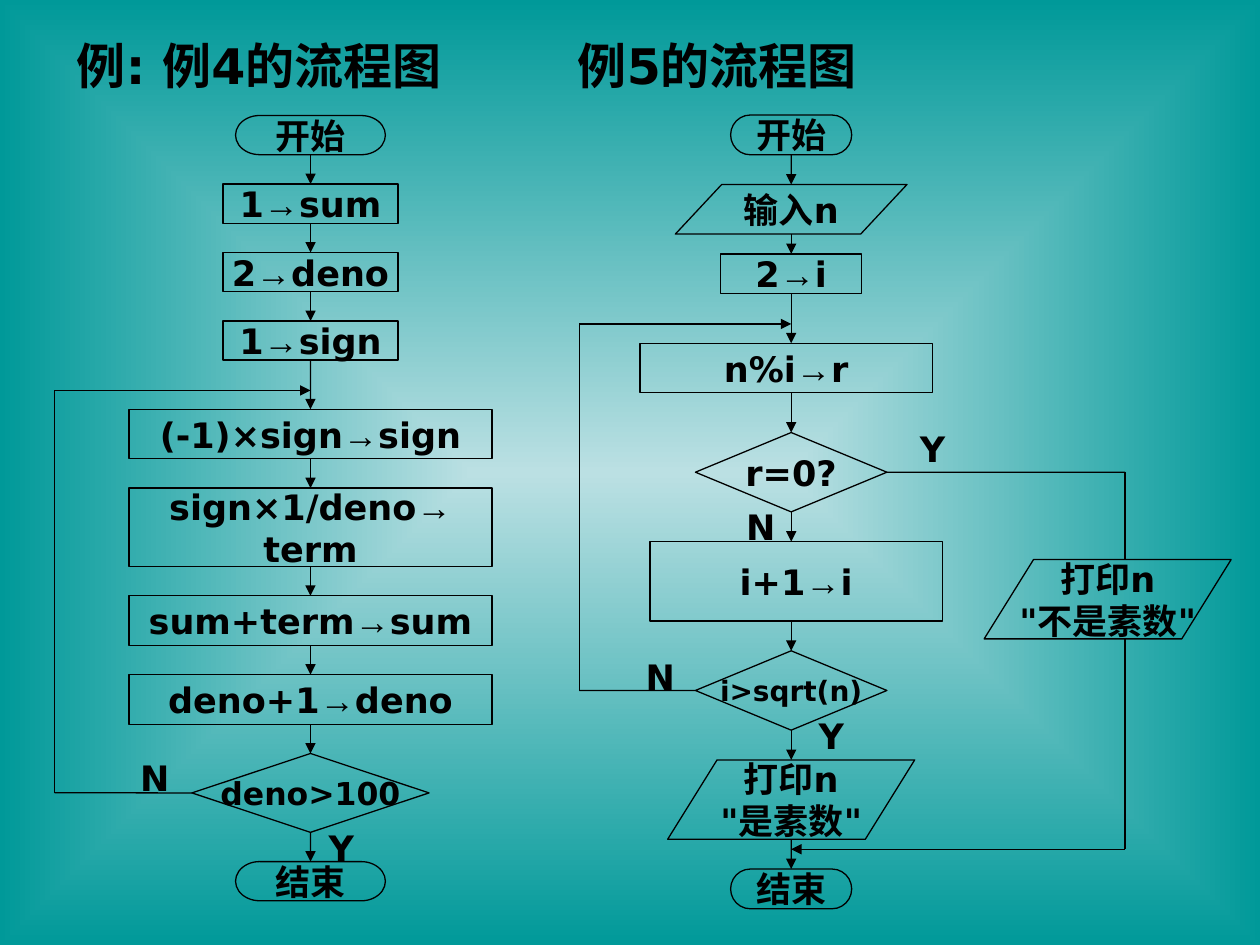
from dataclasses import dataclass

from pptx import Presentation
from pptx.dml.color import RGBColor
from pptx.enum.shapes import MSO_CONNECTOR, MSO_SHAPE
from pptx.enum.text import MSO_ANCHOR, PP_ALIGN
from pptx.oxml import parse_xml
from pptx.oxml.ns import nsdecls, qn
from pptx.oxml.xmlchemy import OxmlElement
from pptx.util import Cm, Pt

BLACK = RGBColor(0x00, 0x00, 0x00)
PALE_TEAL = RGBColor(0xBB, 0xE0, 0xE3)
DEEP_TEAL = RGBColor(0x00, 0x99, 0x99)

TERMINATOR = MSO_SHAPE.FLOWCHART_TERMINATOR
PROCESS = MSO_SHAPE.FLOWCHART_PROCESS
DECISION = MSO_SHAPE.FLOWCHART_DECISION
DATA = MSO_SHAPE.FLOWCHART_DATA
TOP, LEFT, BOTTOM, RIGHT = range(4)
LINE_WIDTH = Pt(0.75)


@dataclass
class Step:
    """One symbol of a flowchart; gap is the space below it, shift its offset from the axis."""
    kind: int
    text: str
    width: float
    height: float
    gap: float = 0.6
    shift: float = 0
    size: int = 20


SERIES_STEPS = [
    Step(TERMINATOR, "开始", 3.02, 0.79, 0.59),
    Step(PROCESS, "1→sum", 3.53, 0.79, 0.59),
    Step(PROCESS, "2→deno", 3.53, 0.79, 0.59),
    Step(PROCESS, "1→sign", 3.53, 0.79, 0.99),
    Step(PROCESS, "(-1)×sign→sign", 7.32, 1, 0.59),
    Step(PROCESS, "sign×1/deno→\nterm", 7.32, 1.58, 0.59),
    Step(PROCESS, "sum+term→sum", 7.32, 1, 0.59),
    Step(PROCESS, "deno+1→deno", 7.32, 1, 0.59),
    Step(DECISION, "deno>100", 4.78, 1.59, 0.59, size=18),
    Step(TERMINATOR, "结束", 3.02, 0.79),
]
PRIME_STEPS = [
    Step(TERMINATOR, "开始", 2.44, 0.8),
    Step(DATA, "输入n", 4.67, 1, 0.4),
    Step(PROCESS, "2→i", 2.84, 0.8, 1),
    Step(PROCESS, "n%i→r", 5.89, 1, 0.8, shift=-0.1),
    Step(DECISION, "r=0?", 3.86, 1.6),
    Step(PROCESS, "i+1→i", 5.89, 1.6, shift=0.1),
    Step(DECISION, "i>sqrt(n)", 3.86, 1.6, size=16),
    Step(DATA, '打印n\n"是素数"', 4.98, 1.6),
    Step(TERMINATOR, "结束", 2.44, 0.8),
]
BRANCH_LABELS = [
    ("Y", 6.88, 17.08), ("N", 3.12, 15.68),
    ("Y", 16.76, 14.83), ("Y", 18.8, 9.04),
    ("N", 15.34, 10.62), ("N", 13.31, 13.64),
]


def paint_background(slide):
    """Fill the background with a gradient from the centre to the edges."""
    fill = slide.background.fill
    fill.gradient()
    for stop, color in zip(fill.gradient_stops, (PALE_TEAL, DEEP_TEAL)):
        stop.color.rgb = color
    gradient = slide.element.find(".//" + qn("a:gradFill"))
    rectangular = parse_xml(
        f'<a:path {nsdecls("a")} path="rect">'
        '<a:fillToRect l="50000" t="50000" r="50000" b="50000"/></a:path>')
    gradient.replace(gradient.find(qn("a:lin")), rectangular)


def write_text(frame, text, size=20, align=PP_ALIGN.CENTER, wrap=False, tab=None):
    """Write bold lines of text, with the assignment arrows in Arial."""
    frame.word_wrap = wrap
    frame.vertical_anchor = MSO_ANCHOR.MIDDLE
    for index, line in enumerate(text.split("\n")):
        paragraph = frame.add_paragraph() if index else frame.paragraphs[0]
        paragraph.alignment = align
        if tab:
            stops = OxmlElement("a:tabLst")
            stop = OxmlElement("a:tab")
            stop.set("pos", str(tab))
            stop.set("algn", "l")
            stops.append(stop)
            paragraph._p.get_or_add_pPr().append(stops)
        for part in filter(None, line.partition("→")):
            run = paragraph.add_run()
            run.text = part
            run.font.name = "Arial" if part == "→" else "DejaVu Sans"
            run.font.size = Pt(size)
            run.font.bold = True
            run.font.color.rgb = BLACK


def add_symbol(slide, step, center, top):
    """Draw one outlined flowchart symbol centred on an axis."""
    symbol = slide.shapes.add_shape(
        step.kind, Cm(center + step.shift - step.width / 2), Cm(top),
        Cm(step.width), Cm(step.height))
    symbol.shadow.inherit = False
    symbol.fill.background()
    symbol.line.color.rgb = BLACK
    symbol.line.width = LINE_WIDTH
    write_text(symbol.text_frame, step.text, size=step.size)
    return symbol


def add_label(slide, text, center, middle, width=1.4, height=0.6):
    """Place a branch label by its centre."""
    label = slide.shapes.add_textbox(
        Cm(center - width / 2), Cm(middle - height / 2), Cm(width), Cm(height))
    write_text(label.text_frame, text)


def add_route(slide, *points, arrow=True):
    """Draw straight connectors through the points, the last one with an arrowhead."""
    legs = []
    for (x1, y1), (x2, y2) in zip(points, points[1:]):
        leg = slide.shapes.add_connector(
            MSO_CONNECTOR.STRAIGHT, Cm(x1), Cm(y1), Cm(x2), Cm(y2))
        leg.line.color.rgb = BLACK
        leg.line.width = LINE_WIDTH
        leg._element.spPr.append(OxmlElement("a:effectLst"))
        legs.append(leg)
    if arrow:
        head = OxmlElement("a:tailEnd")
        head.set("type", "triangle")
        legs[-1].line._get_or_add_ln().append(head)
    return legs


def joins_at_middle(step):
    """Tell whether the axis meets a connection site of the symbol."""
    return step.kind != DATA and not step.shift


def add_flow(slide, steps, center, top):
    """Stack the steps on an axis and link each to the next."""
    symbols = []
    previous = None
    for step in steps:
        symbol = add_symbol(slide, step, center, top)
        if previous:
            link, = add_route(slide, (center, top - previous.gap), (center, top))
            if joins_at_middle(previous):
                link.begin_connect(symbols[-1], BOTTOM)
            if joins_at_middle(step):
                link.end_connect(symbol, TOP)
        symbols.append(symbol)
        previous = step
        top += step.height + step.gap
    return symbols


def main():
    """Build the slide with both flowcharts."""
    deck = Presentation()
    deck.slide_width, deck.slide_height = Cm(25.4), Cm(19.05)
    slide = deck.slides.add_slide(deck.slide_layouts[6])
    paint_background(slide)

    title = slide.shapes.add_textbox(Cm(1.3), Cm(0.53), Cm(22.86), Cm(1.55))
    write_text(title.text_frame, "例: 例4的流程图\t例5的流程图", size=28,
               align=PP_ALIGN.LEFT, wrap=True, tab=Cm(10.1))

    series_axis, prime_axis = 6.26, 15.95
    series = add_flow(slide, SERIES_STEPS, series_axis, 2.33)
    prime = add_flow(slide, PRIME_STEPS, prime_axis, 2.32)

    series_loop = add_route(slide, (3.87, 15.98), (1.1, 15.98), (1.1, 7.87), (series_axis, 7.87))
    series_loop[0].begin_connect(series[8], LEFT)
    prime_loop = add_route(slide, (14.02, 13.92), (11.68, 13.92), (11.68, 6.53), (prime_axis, 6.53))
    prime_loop[0].begin_connect(prime[6], LEFT)

    branch_x = 22.68
    divisible = add_route(slide, (17.88, 9.52), (branch_x, 9.52), (branch_x, 11.28), arrow=False)
    divisible[0].begin_connect(prime[4], RIGHT)
    add_symbol(slide, Step(DATA, '打印n\n"不是素数"', 4.98, 1.6), 22.33, 11.28)
    add_route(slide, (branch_x, 12.88), (branch_x, 17.12), (prime_axis, 17.12))

    for text, center, middle in BRANCH_LABELS:
        add_label(slide, text, center, middle)
    deck.save("out.pptx")


if __name__ == "__main__":
    main()
